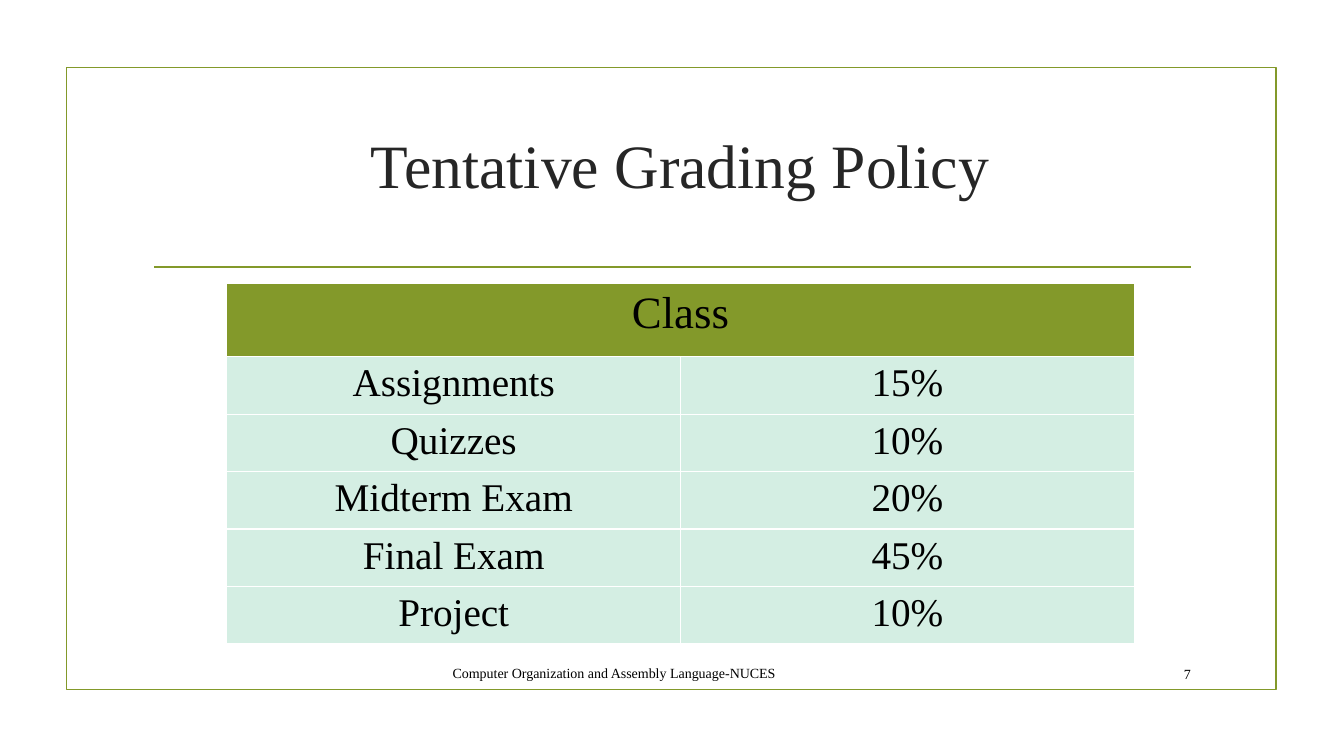
from lxml.etree import SubElement
from pptx import Presentation
from pptx.dml.color import RGBColor
from pptx.enum.shapes import MSO_CONNECTOR, MSO_SHAPE
from pptx.enum.text import MSO_ANCHOR, PP_ALIGN
from pptx.oxml import parse_xml
from pptx.oxml.ns import nsdecls, qn
from pptx.util import Inches, Pt

GRADES = [
    ("Assignments", "15%"),
    ("Quizzes", "10%"),
    ("Midterm Exam", "20%"),
    ("Final Exam", "45%"),
    ("Project", "10%"),
]
HEADING = "Class"
TEXTS = [
    ("Tentative Grading Policy", (2.25, 1.19, 9, 0.87), 44, "262626", PP_ALIGN.CENTER),
    ("Computer Organization and Assembly Language-NUCES",
     (4.39, 6.52, 7.99, 0.31), 10, "000000", PP_ALIGN.LEFT),
    ("7", (11.32, 6.53, 0.59, 0.31), 10, "000000", PP_ALIGN.RIGHT),
]
FRAME = (0.66, 0.67, 12, 6.17)
RULE = (1.53, 2.65, 11.81, 2.65)
TABLE_LEFT, TABLE_TOP, COLUMN_WIDTH = 2.25, 2.81, 4.5
HEADER_HEIGHT, ROW_HEIGHT = 0.73, 0.57
GREEN, MINT, WHITE = "83992A", "D4EEE3", "FFFFFF"


def color(value):
    return RGBColor.from_string(value)


def inches(values):
    return [Inches(value) for value in values]


def write(frame, text, size, text_color, alignment):
    paragraph = frame.paragraphs[0]
    paragraph.alignment = alignment
    run = paragraph.add_run()
    run.text = text
    for name, value in {"name": "Times New Roman", "size": Pt(size), "bold": False}.items():
        setattr(run.font, name, value)
    run.font.color.rgb = color(text_color)


def style_line(line):
    line.color.rgb = color(GREEN)
    line.width = Pt(1.25)


def style_cell(cell, fill):
    cell.fill.solid()
    cell.fill.fore_color.rgb = color(fill)
    properties = cell._tc.get_or_add_tcPr()
    for index, side in enumerate("LRTB"):
        border = parse_xml(
            f'<a:ln{side} {nsdecls("a")} w="{Pt(1)}"><a:solidFill>'
            f'<a:srgbClr val="{WHITE}"/></a:solidFill></a:ln{side}>')
        properties.insert(index, border)


def add_frame(slide):
    frame = slide.shapes.add_shape(MSO_SHAPE.RECTANGLE, *inches(FRAME))
    frame.shadow.inherit = False
    frame.fill.background()
    style_line(frame.line)
    rule = slide.shapes.add_connector(MSO_CONNECTOR.STRAIGHT, *inches(RULE))
    style_line(rule.line)
    SubElement(rule._element.spPr, qn("a:effectLst"))


def add_text(slide, text, place, size, text_color, alignment):
    box = slide.shapes.add_textbox(*inches(place))
    box.text_frame.word_wrap = True
    box.text_frame.vertical_anchor = MSO_ANCHOR.MIDDLE
    write(box.text_frame, text, size, text_color, alignment)


def add_grades(slide):
    height = HEADER_HEIGHT + ROW_HEIGHT * len(GRADES)
    place = inches((TABLE_LEFT, TABLE_TOP, COLUMN_WIDTH * 2, height))
    table = slide.shapes.add_table(len(GRADES) + 1, 2, *place).table
    for column in table.columns:
        column.width = Inches(COLUMN_WIDTH)
    for index, row in enumerate(table.rows):
        row.height = Inches(ROW_HEIGHT if index else HEADER_HEIGHT)
        for cell in row.cells:
            style_cell(cell, MINT if index else GREEN)
    table.cell(0, 0).merge(table.cell(0, 1))
    write(table.cell(0, 0).text_frame, HEADING, 32, "000000", PP_ALIGN.CENTER)
    for row_index, grade in enumerate(GRADES, 1):
        for column_index, text in enumerate(grade):
            cell = table.cell(row_index, column_index)
            write(cell.text_frame, text, 28, "000000", PP_ALIGN.CENTER)


def main():
    presentation = Presentation()
    presentation.slide_width, presentation.slide_height = inches((13.33, 7.5))
    slide = presentation.slides.add_slide(presentation.slide_layouts[6])
    add_frame(slide)
    add_grades(slide)
    for item in TEXTS:
        add_text(slide, *item)
    presentation.save("out.pptx")


if __name__ == "__main__":
    main()
